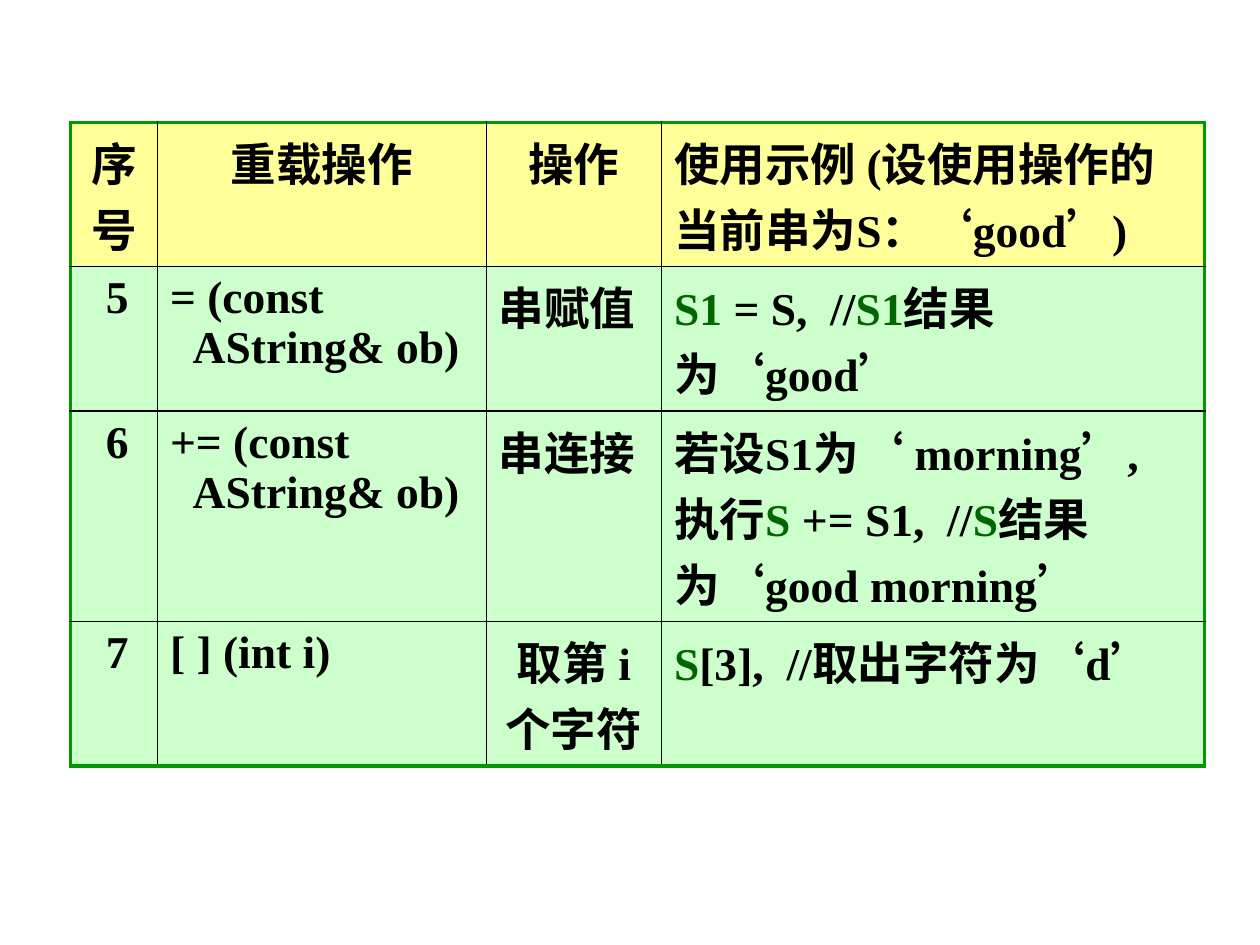
from lxml import etree
from pptx import Presentation
from pptx.dml.color import RGBColor
from pptx.enum import text
from pptx.oxml import ns
from pptx.util import Inches, Pt

COLORS = {
    "text": "000000",
    "highlight": "006600",
    "header": "FFFF99",
    "body": "CCFFCC",
    "frame": "009900",
    "grid": "000000",
}
FONT = "Times New Roman"
COLUMN_WIDTHS = [0.69, 2.61, 1.39, 4.31]
ROW_HEIGHTS = [0.97, 0.97, 1.4, 0.97]
INDENT = Inches(0.18)

# Lines are paragraphs; the text between each pair of bars is highlighted
ROWS = [
    ["序\n号", "重载操作", "操作", "使用示例 (设使用操作的当前串为S：‘good’)"],
    ["5", "= (const\nAString& ob)", "串赋值", "|S1 |= S,  //|S1|结果为‘good’"],
    ["6", "+= (const\nAString& ob)", "串连接",
     "若设S1为‘ morning’, 执行|S |+= S1,  //|S|结果为‘good morning’"],
    ["7", "[ ] (int i)", "取第 i\n个字符", "|S|[3],  //取出字符为‘d’"],
]


def rgb(name):
    return RGBColor.from_string(COLORS[name])


def set_borders(cell, outer):
    """Draw the four sides; those named in outer belong to the frame."""
    properties = cell._tc.get_or_add_tcPr()
    for position, side in enumerate("LRTB"):
        color, width = ("frame", 2.25) if side in outer else ("grid", 1)
        line = etree.Element(ns.qn(f"a:ln{side}"), w=str(Pt(width)))
        fill = etree.SubElement(line, ns.qn("a:solidFill"))
        etree.SubElement(fill, ns.qn("a:srgbClr"), val=COLORS[color])
        properties.insert(position, line)


def write_paragraph(paragraph, content, centred, indented):
    if centred:
        paragraph.alignment = text.PP_ALIGN.CENTER
    if indented:
        paragraph._p.get_or_add_pPr().set("marL", str(INDENT))
    paragraph.font.name = FONT
    paragraph.font.size = Pt(26)
    paragraph.font.bold = True
    for index, part in enumerate(content.split("|")):
        if part:
            run = paragraph.add_run()
            run.text = part
            run.font.color.rgb = rgb("highlight" if index % 2 else "text")


def add_operator_table(slide, left, top, width, height):
    last_row, last_column = len(ROWS) - 1, len(COLUMN_WIDTHS) - 1
    table = slide.shapes.add_table(
        len(ROWS), len(COLUMN_WIDTHS), left, top, width, height).table
    for column, column_width in zip(table.columns, COLUMN_WIDTHS):
        column.width = Inches(column_width)
    for row, row_height in zip(table.rows, ROW_HEIGHTS):
        row.height = Inches(row_height)

    for r, values in enumerate(ROWS):
        for c, value in enumerate(values):
            cell = table.cell(r, c)
            cell.fill.solid()
            cell.fill.fore_color.rgb = rgb("body" if r else "header")
            edges = {"L": c == 0, "R": c == last_column,
                     "T": r == 0, "B": r == last_row}
            set_borders(cell, {side for side, on_edge in edges.items() if on_edge})

            # Headings and the wrapped operation name are centred
            centred = (r == 0 and c < last_column) or (r == last_row and c == 2)
            frame = cell.text_frame
            for index, content in enumerate(value.split("\n")):
                paragraph = frame.add_paragraph() if index else frame.paragraphs[0]
                indented = r > 0 and (c == 0 or (c == 1 and index > 0))
                write_paragraph(paragraph, content, centred, indented)


def main():
    presentation = Presentation()
    presentation.slide_width = Inches(10)
    presentation.slide_height = Inches(7.5)
    slide = presentation.slides.add_slide(presentation.slide_layouts[6])
    add_operator_table(slide, Inches(0.56), Inches(0.97), Inches(9), Inches(4.31))
    presentation.save("out.pptx")


if __name__ == "__main__":
    main()
